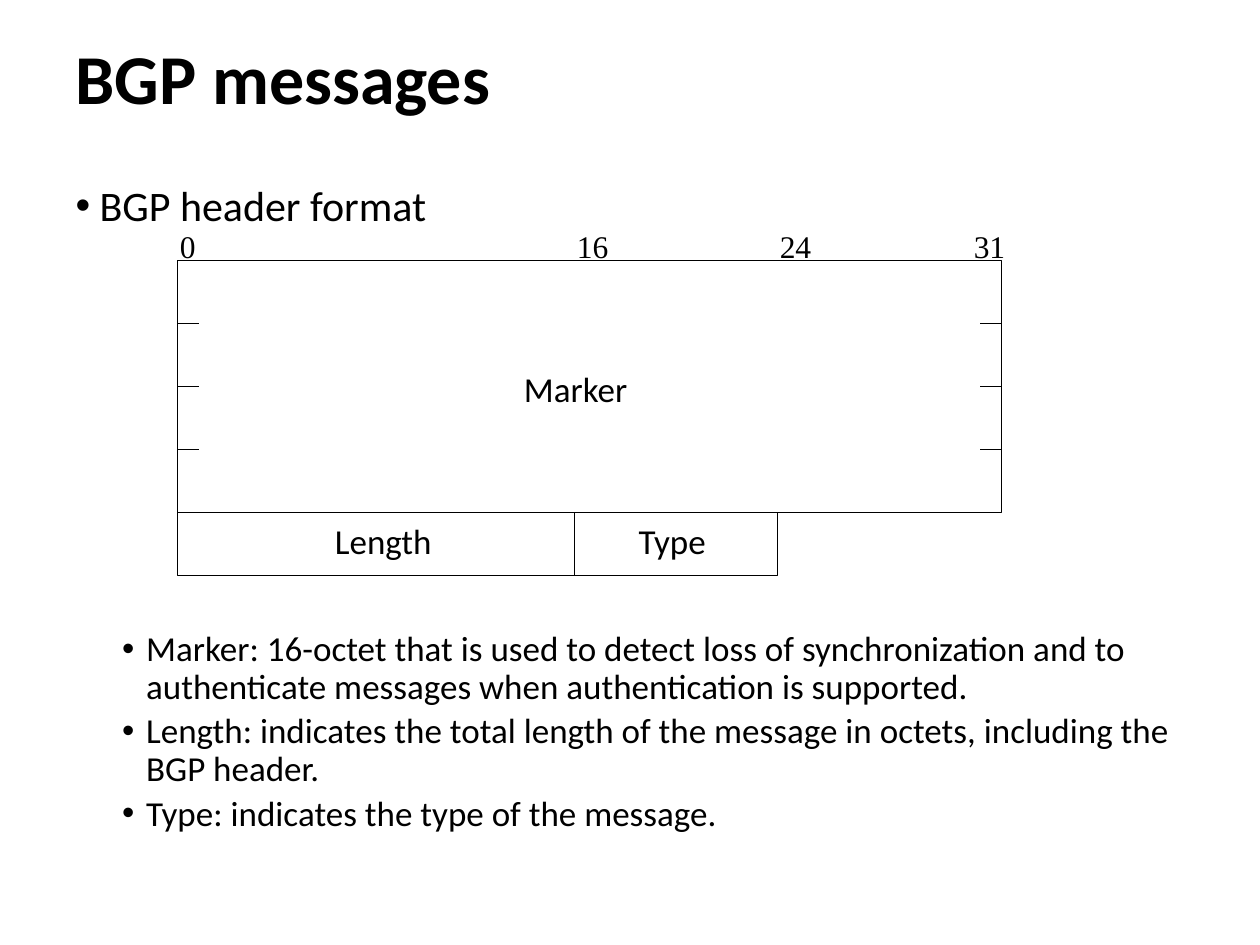
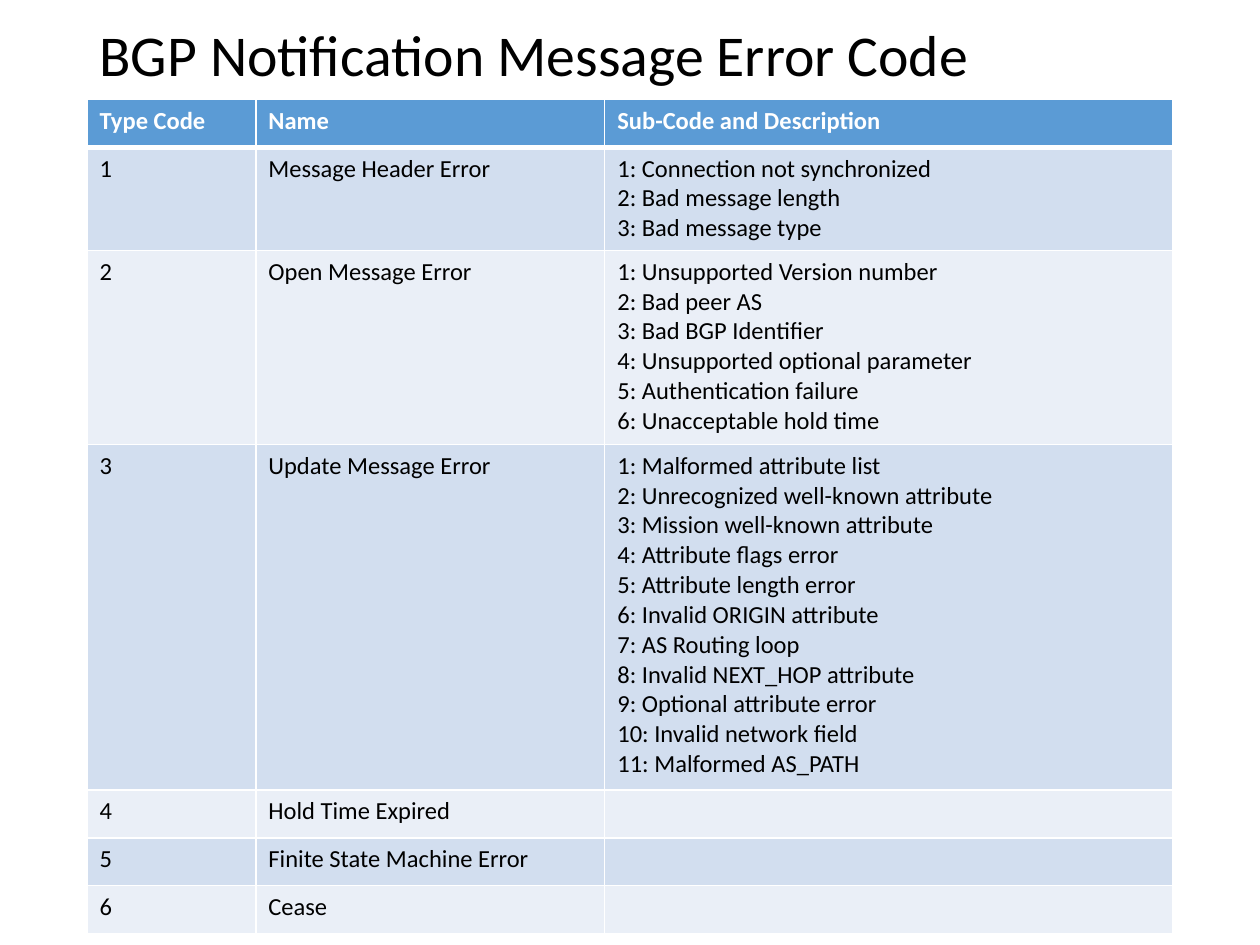
from lxml import etree
from pptx import Presentation
from pptx.dml.color import RGBColor
from pptx.enum import shapes, text
from pptx.oxml import ns
from pptx.util import Inches, Pt

COLORS = {"ink": "000000", "white": "FFFFFF", "head": "5B9BD5",
          "odd": "D2DEEF", "even": "EAEFF7"}
FONT, DIGIT_FONT = "Calibri", "Times New Roman"


def rgb(name):
    return RGBColor.from_string(COLORS[name])


def add_run(p, words, size=20, font=FONT, color="ink", bold=False):
    r = p.add_run()
    r.text = words
    r.font.size, r.font.name, r.font.bold = Pt(size), font, bold
    r.font.color.rgb = rgb(color)
    return r


class Deck:
    def __init__(self):
        self.prs = Presentation()
        self.prs.slide_width, self.prs.slide_height = Inches(10), Inches(7.5)

    def new_slide(self, layout):
        self.slide = self.prs.slides.add_slide(self.prs.slide_layouts[layout])
        self.shapes = self.slide.shapes

    def place(self, sp, x, y, w, h, anchor=text.MSO_ANCHOR.TOP):
        sp.left, sp.top, sp.width, sp.height = map(Inches, (x, y, w, h))
        tf = sp.text_frame
        tf.auto_size = text.MSO_AUTO_SIZE.NONE
        tf.vertical_anchor = anchor
        return tf

    def title(self, words, box, anchor, **fmt):
        p = self.place(self.slide.shapes.title, *box, anchor).paragraphs[0]
        p.alignment = text.PP_ALIGN.LEFT
        p.line_spacing = 0.9
        add_run(p, words, **fmt)

    def bullets(self, items, box):
        """Each item is (words, level, size, space before in points)."""
        tf = self.place(self.slide.placeholders[1], *box)
        for i, (words, level, size, before) in enumerate(items):
            p = tf.add_paragraph() if i else tf.paragraphs[0]
            p.level, p.line_spacing = level, 0.9
            p.space_before = Pt(before)
            add_run(p, words, size=size)
            pPr = p._p.get_or_add_pPr()
            pPr.set("marL", str(Inches(0.19 + 0.37 * level)))
            pPr.set("indent", str(Inches(-0.19)))
            etree.SubElement(pPr, ns.qn("a:buFont"), typeface="Arial")
            etree.SubElement(pPr, ns.qn("a:buChar"), char="\u2022")

    def group(self):
        self.shapes = self.slide.shapes.add_group_shape().shapes

    def frame(self, x, y, w, h):
        sp = self.shapes.add_shape(shapes.MSO_SHAPE.RECTANGLE,
                                   *map(Inches, (x, y, w, h)))
        sp.shadow.inherit = False
        sp.fill.background()
        sp.line.color.rgb, sp.line.width = rgb("ink"), Pt(0.75)

    def line(self, x1, y1, x2, y2):
        sp = self.shapes.add_connector(shapes.MSO_CONNECTOR.STRAIGHT,
                                       *map(Inches, (x1, y1, x2, y2)))
        sp.line.color.rgb, sp.line.width = rgb("ink"), Pt(0.75)
        etree.SubElement(sp._element.spPr, ns.qn("a:effectLst"))

    def label(self, words, x, y, w, h, **fmt):
        sp = self.shapes.add_textbox(*map(Inches, (x, y, w, h)))
        sp.text_frame.word_wrap = False
        add_run(sp.text_frame.paragraphs[0], words, **fmt)

    def cell(self, cell, lines, fill, bottom=1, size=14, **fmt):
        tcPr = cell._tc.get_or_add_tcPr()
        for side, width in zip("LRTB", (1, 1, 1, bottom)):
            ln = etree.SubElement(tcPr, ns.qn("a:ln" + side), w=str(Pt(width)))
            solid = etree.SubElement(ln, ns.qn("a:solidFill"))
            etree.SubElement(solid, ns.qn("a:srgbClr"), val=COLORS["white"])
        cell.fill.solid()
        cell.fill.fore_color.rgb = rgb(fill)
        tf = cell.text_frame
        for i, words in enumerate(lines):
            p = tf.add_paragraph() if i else tf.paragraphs[0]
            add_run(p, words, size=size, **fmt)
        if not lines:  # keeps an empty row as low as the others
            etree.SubElement(tf.paragraphs[0]._p, ns.qn("a:endParaRPr"),
                             sz=str(size * 100))

    def table(self, head, rows, x, y, widths):
        heights = [0.38] + [max(0.38, 0.1 + 0.24 * len(r[2])) for r in rows]
        tbl = self.shapes.add_table(
            len(heights), len(widths),
            *map(Inches, (x, y, sum(widths), sum(heights)))).table
        for col, w in zip(tbl.columns, widths):
            col.width = Inches(w)
        for row, h in zip(tbl.rows, heights):
            row.height = Inches(h)
        for c, words in enumerate(head):
            self.cell(tbl.cell(0, c), [words], "head", bottom=3,
                      color="white", bold=True)
        for n, (code, name, details) in enumerate(rows, 1):
            for c, lines in enumerate(([code], [name], details)):
                self.cell(tbl.cell(n, c), lines, "odd" if n % 2 else "even")


deck = Deck()

# Slide 1: header format
deck.new_slide(1)
deck.title("BGP messages", (0.5, 0.3, 9, 1.25), text.MSO_ANCHOR.TOP,
           size=40, bold=True)
deck.bullets([
    ("BGP header format", 0, 24, 7.5),
    # The large gap leaves room for the diagram
    ("Marker: 16-octet that is used to detect loss of synchronization and to "
     "authenticate messages when authentication is supported.", 1, 20, 229),
    ("Length: indicates the total length of the message in octets, including "
     "the BGP header.", 1, 20, 3.8),
    ("Type: indicates the type of the message.", 1, 20, 3.8),
], (0.5, 1.42, 9, 5.42))

# Header diagram: four marker rows over one row with length and type
deck.group()
left, bit16, bit24, right = 1.41, 4.56, 6.17, 7.95
top, row_h, tick = 2.07, 0.5, 0.17
low = top + 4 * row_h
deck.frame(left, top, right - left, 4 * row_h)
for i in range(1, 4):
    y = top + i * row_h
    deck.line(left, y, left + tick, y)
    deck.line(right - tick, y, right, y)
deck.frame(left, low, bit24 - left, row_h)
deck.line(bit16, low, bit16, low + row_h)
deck.label("Marker", 4.06, 2.87, 1.03, 0.44)
deck.label("Length", 2.56, low, 0.99, 0.44)
deck.label("Type", 4.97, low, 0.74, 0.44)
for bit, x, w in (("0", left - 0.08, 0.33), ("16", bit16 - 0.08, 0.45),
                  ("24", bit24 - 0.08, 0.45), ("31", right - 0.32, 0.45)):
    deck.label(bit, x, 1.75, w, 0.4, size=18, font=DIGIT_FONT)

# Slide 2: error codes
deck.new_slide(5)
deck.title("BGP Notification Message Error Code", (0.69, 0.08, 8.62, 0.75),
           text.MSO_ANCHOR.MIDDLE, size=33)


def numbered(*items):
    return [f"{n}: {item}" for n, item in enumerate(items, 1)]


deck.table(("Type Code", "Name", "Sub-Code and Description"), [
    ("1", "Message Header Error", numbered(
        "Connection not synchronized", "Bad message length",
        "Bad message type")),
    ("2", "Open Message Error", numbered(
        "Unsupported Version number", "Bad peer AS", "Bad BGP Identifier",
        "Unsupported optional parameter", "Authentication failure",
        "Unacceptable hold time")),
    ("3", "Update Message Error", numbered(
        "Malformed attribute list", "Unrecognized well-known attribute",
        "Mission well-known attribute", "Attribute flags error",
        "Attribute length error", "Invalid ORIGIN attribute",
        "AS Routing loop", "Invalid NEXT_HOP attribute",
        "Optional attribute error", "Invalid network field",
        "Malformed AS_PATH")),
    ("4", "Hold Time Expired", []),
    ("5", "Finite State Machine Error", []),
    ("6", "Cease", []),
], 0.69, 0.79, (1.34, 2.77, 4.51))

deck.prs.save("out.pptx")
